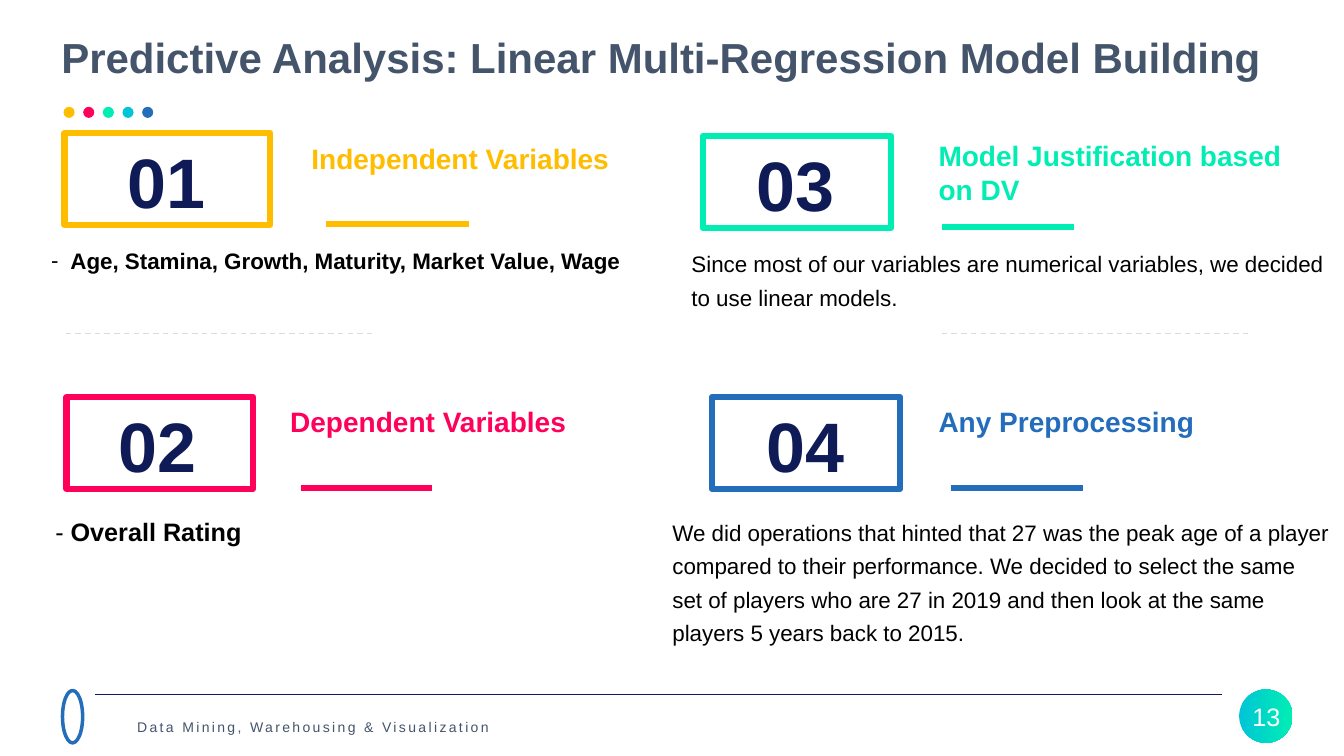
from lxml.etree import SubElement as Sub
from pptx import Presentation
from pptx.dml.color import RGBColor as RGB
from pptx.enum.dml import MSO_LINE as Dash
from pptx.enum.shapes import MSO_CONNECTOR as Conn, MSO_SHAPE as Kind
from pptx.enum.text import MSO_ANCHOR as Anchor, PP_ALIGN as Align
from pptx.oxml.ns import qn
from pptx.util import Inches, Pt

GOLD = RGB(0xFF, 0xBD, 0x00)
PINK = RGB(0xFF, 0x00, 0x5B)
MINT = RGB(0x00, 0xEE, 0xB3)
CYAN = RGB(0x00, 0xC5, 0xD6)
BLUE = RGB(0x23, 0x6D, 0xBB)
NAVY = RGB(0x0F, 0x1B, 0x57)
SLATE = RGB(0x44, 0x54, 0x6A)
PALE = RGB(0xD6, 0xDC, 0xE5)
BLACK = RGB(0, 0, 0)
WHITE = RGB(0xFF, 0xFF, 0xFF)

TITLE = "Predictive Analysis: Linear Multi-Regression Model Building"
FOOTER = "Data Mining, Warehousing & Visualization"
PAGE = "13"
DOTS = [GOLD, PINK, MINT, CYAN, BLUE]

CARDS = [
    {"num": "01", "color": GOLD, "box": (0.64, 1.32, 2.04), "mark": (0.52, 1.33, 2.27),
     "head": "Independent Variables", "spot": (2.99, 1.35, 4.14), "rule": (3.23, 4.65),
     "body": [("Age, Stamina, Growth, Maturity, Market Value, Wage", True)],
     "area": (0.41, 2.34, 6.62, 0.67), "size": 16, "bullet": "-"},
    {"num": "02", "color": PINK, "box": (0.66, 3.94, 1.85), "mark": (0.54, 3.94, 2.05),
     "head": "Dependent Variables", "spot": (2.78, 3.96, 3.74), "rule": (2.99, 4.28),
     "body": [("- ", False), ("Overall Rating", True)],
     "area": (0.45, 5, 6.07, 0.44), "size": 18, "bullet": None},
    {"num": "03", "color": MINT, "box": (6.97, 1.35, 1.87), "mark": (6.85, 1.35, 2.08),
     "head": "Model Justification based on DV", "spot": (9.21, 1.33, 3.85), "rule": (9.34, 10.65),
     "body": [("Since most of our variables are numerical variables, "
               "we decided to use linear models.", False)],
     "area": (6.76, 2.37, 6.53, 0.74), "size": 16, "bullet": None},
    {"num": "04", "color": BLUE, "box": (7.06, 3.94, 1.87), "mark": (6.95, 3.94, 2.08),
     "head": "Any Preprocessing", "spot": (9.21, 3.96, 4.01), "rule": (9.43, 10.74),
     "body": [("We did operations that hinted that 27 was the peak age of a player compared to "
               "their performance. We decided to select the same set of players who are 27 in "
               "2019 and then look at the same players 5 years back to 2015.", False)],
     "area": (6.57, 5.03, 6.72, 1.41), "size": 16, "bullet": None},
]
BOX_H, MARK_H, HEAD_H = 0.91, 0.94, 0.77

deck = Presentation()
deck.slide_width, deck.slide_height = Inches(13.33), Inches(7.5)
slide = deck.slides.add_slide(deck.slide_layouts[6])
shapes = slide.shapes


def add_text(area, runs, size, color, align=Align.LEFT, space=None,
             anchor=Anchor.TOP, inset=None, bullet=None):
    box = shapes.add_textbox(*map(Inches, area))
    frame = box.text_frame
    frame.word_wrap = True
    frame.vertical_anchor = anchor
    if inset is not None:
        for side in ("left", "top", "right", "bottom"):
            setattr(frame, "margin_" + side, Inches(inset))
    para = frame.paragraphs[0]
    para.alignment = align
    if space:
        para.line_spacing = space
    if bullet:
        props = para._p.get_or_add_pPr()
        props.set("marL", str(Inches(0.19)))
        props.set("indent", str(-Inches(0.19)))
        Sub(props, qn("a:buFont"), typeface="Arial")
        Sub(props, qn("a:buChar"), char=bullet)
    for words, bold in runs:
        run = para.add_run()
        run.text = words
        for name, value in {"name": "Arial", "size": Pt(size), "bold": bold}.items():
            setattr(run.font, name, value)
        run.font.color.rgb = color
    return para


def add_shape(kind, area, fill=None, edge=None, width=4.5):
    shape = shapes.add_shape(kind, *map(Inches, area))
    shape.shadow.inherit = False
    if fill is None:
        shape.fill.background()
    else:
        shape.fill.solid()
        shape.fill.fore_color.rgb = fill
    if edge is None:
        shape.line.fill.background()
    else:
        shape.line.color.rgb = edge
        shape.line.width = Pt(width)
    return shape


def add_line(left, right, y, color, width, dash=None):
    line = shapes.add_connector(Conn.STRAIGHT, *map(Inches, (left, y, right, y)))
    Sub(line._element.spPr, qn("a:effectLst"))
    line.line.color.rgb = color
    line.line.width = Pt(width)
    if dash:
        line.line.dash_style = dash


badge = add_shape(Kind.OVAL, (12.29, 6.84, 0.53, 0.53), MINT)
badge.fill.gradient()
badge.fill.gradient_angle = 0
for stop, color in zip(badge.fill.gradient_stops, (CYAN, MINT)):
    stop.color.rgb = color

foot = add_text((1.32, 7.01, 4.04, 0.31), [(FOOTER, False)], 10, SLATE,
                space=1.5, anchor=Anchor.MIDDLE, inset=0.04)
foot.runs[0].font._element.set("spc", "170")
add_shape(Kind.OVAL, (0.62, 6.85, 0.2, 0.52), edge=BLUE, width=2.5)
add_line(0.94, 12.12, 6.89, NAVY, 0.5)

for i, color in enumerate(DOTS):
    add_shape(Kind.OVAL, (0.63 + 0.195 * i, 1.06, 0.11, 0.11), color)

add_text((0.51, 0.26, 12.32, 0.6), [(TITLE, True)], 30, SLATE, anchor=Anchor.MIDDLE)
add_text((12.25, 6.91, 0.62, 0.4), [(PAGE, False)], 18, WHITE, Align.CENTER)

for card in CARDS:
    color = card["color"]
    add_text((*card["mark"], MARK_H), [(card["num"], True)], 50, NAVY, Align.CENTER)
    add_text((*card["spot"], HEAD_H), [(card["head"], True)], 20, color)
    add_text(card["area"], card["body"], card["size"], BLACK, space=1.25, bullet=card["bullet"])
    add_shape(Kind.RECTANGLE, (*card["box"], BOX_H), edge=color)
    add_line(*card["rule"], card["box"][1] + BOX_H - 0.01, color, 4.5)

for left in (0.65, 9.34):
    add_line(left, left + 3.04, 3.31, PALE, 1, Dash.DASH)

deck.save("out.pptx")
